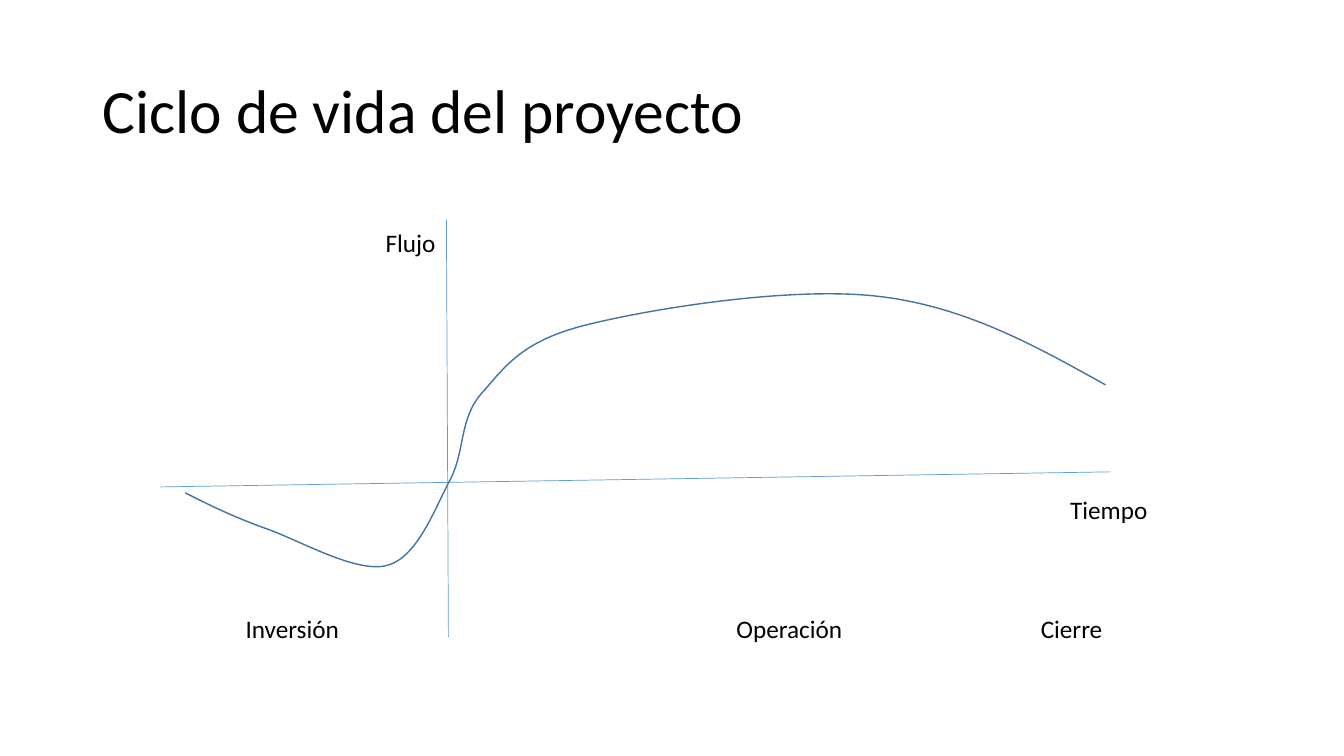
"""Build the project life cycle slide: cash flow over time, by phase."""
from dataclasses import dataclass

import lxml.etree
import pptx
import pptx.dml.color
import pptx.enum.shapes
import pptx.enum.text
import pptx.oxml.ns
import pptx.slide
import pptx.util
from pptx.util import Cm

COLORS = {"text": "000000", "axis": "5B9BD5", "flow": "43739E"}
FONT = "Calibri"
Point = tuple[float, float]


@dataclass(frozen=True)
class Label:
    text: str
    left: float
    top: float
    width: float
    height: float = 1.02
    size: int = 18
    wrap: bool = False


@dataclass(frozen=True)
class Axis:
    start: Point
    end: Point


@dataclass(frozen=True)
class Bend:
    leaving: Point
    arriving: Point
    end: Point


PHASE_TOP = 15.34
TITLE = Label("Ciclo de vida del proyecto", 2.34, 1.02, 29.21, 3.68, 44, True)
LABELS = [
    Label("Flujo", 9.47, 5.61, 1.78),
    Label("Tiempo", 26.72, 12.32, 2.49),
    Label("Inversión", 5.94, PHASE_TOP, 2.9),
    Label("Operación", 18.31, PHASE_TOP, 3.2),
    Label("Cierre", 25.98, PHASE_TOP, 2.08),
]
AXES = [Axis((11.25, 5.54), (11.3, 16.05)), Axis((4.04, 12.27), (27.99, 11.89))]
FLOW_START = (4.67, 12.42)
FLOW_BENDS = [
    Bend((5.28, 12.73), (5.89, 13.03), (6.76, 13.34)),
    Bend((7.59, 13.64), (8.99, 14.45), (9.75, 14.25)),
    Bend((10.52, 14.05), (10.95, 12.83), (11.33, 12.12)),
    Bend((11.73, 11.38), (11.56, 10.57), (12.14, 9.91)),
    Bend((12.73, 9.25), (13.13, 8.59), (14.81, 8.18)),
    Bend((16.46, 7.77), (19.96, 7.21), (22.15, 7.47)),
    Bend((24.31, 7.72), (26.09, 8.71), (27.86, 9.7)),
]


def color(name: str) -> pptx.dml.color.RGBColor:
    """Return the named colour."""
    return pptx.dml.color.RGBColor.from_string(COLORS[name])


def to_emu(point: Point) -> tuple[int, int]:
    """Convert a point in centimetres to slide units."""
    return Cm(point[0]), Cm(point[1])


def add_label(slide: pptx.slide.Slide, label: Label) -> None:
    """Add one text box."""
    box = slide.shapes.add_textbox(
        Cm(label.left), Cm(label.top), Cm(label.width), Cm(label.height)
    )
    frame = box.text_frame
    frame.text = label.text
    frame.word_wrap = label.wrap
    paragraph = frame.paragraphs[0]
    if label.wrap:
        frame.vertical_anchor = pptx.enum.text.MSO_ANCHOR.MIDDLE
        paragraph.line_spacing = 0.9
    else:
        frame.auto_size = pptx.enum.text.MSO_AUTO_SIZE.SHAPE_TO_FIT_TEXT
    font = paragraph.runs[0].font
    font.name = FONT
    font.size = pptx.util.Pt(label.size)
    font.color.rgb = color("text")


def add_axis(slide: pptx.slide.Slide, axis: Axis) -> None:
    """Add one thin straight axis without a shadow."""
    line = slide.shapes.add_connector(
        pptx.enum.shapes.MSO_CONNECTOR.STRAIGHT, *to_emu(axis.start), *to_emu(axis.end)
    )
    line.line.color.rgb = color("axis")
    line.line.width = pptx.util.Pt(0.5)
    lxml.etree.SubElement(
        line._element.spPr, pptx.oxml.ns.qn("a:effectLst")
    )


def add_flow(slide: pptx.slide.Slide, start: Point, bends: list[Bend]) -> None:
    """Add the cash flow as one open path of Bézier segments."""
    builder = slide.shapes.build_freeform(*to_emu(start))
    builder.add_line_segments([to_emu(bend.end) for bend in bends], close=False)
    flow = builder.convert_to_shape()
    flow.shadow.inherit = False
    flow.fill.background()
    flow.line.color.rgb = color("flow")
    flow.line.width = pptx.util.Pt(1)

    qn = pptx.oxml.ns.qn
    for segment, bend in zip(list(flow._element.iter(qn("a:lnTo"))), bends):
        segment.tag = qn("a:cubicBezTo")
        for index, control in enumerate((bend.leaving, bend.arriving)):
            x, y = to_emu(control)
            point = lxml.etree.Element(qn("a:pt"))
            point.set("x", str(x - flow.left))
            point.set("y", str(y - flow.top))
            segment.insert(index, point)


def main() -> None:
    """Build and save the slide."""
    presentation = pptx.Presentation()
    presentation.slide_width = Cm(33.87)
    presentation.slide_height = Cm(19.05)
    slide = presentation.slides.add_slide(presentation.slide_layouts[6])
    add_label(slide, TITLE)
    for axis in AXES:
        add_axis(slide, axis)
    add_flow(slide, FLOW_START, FLOW_BENDS)
    for label in LABELS:
        add_label(slide, label)
    presentation.save("out.pptx")


if __name__ == "__main__":
    main()
